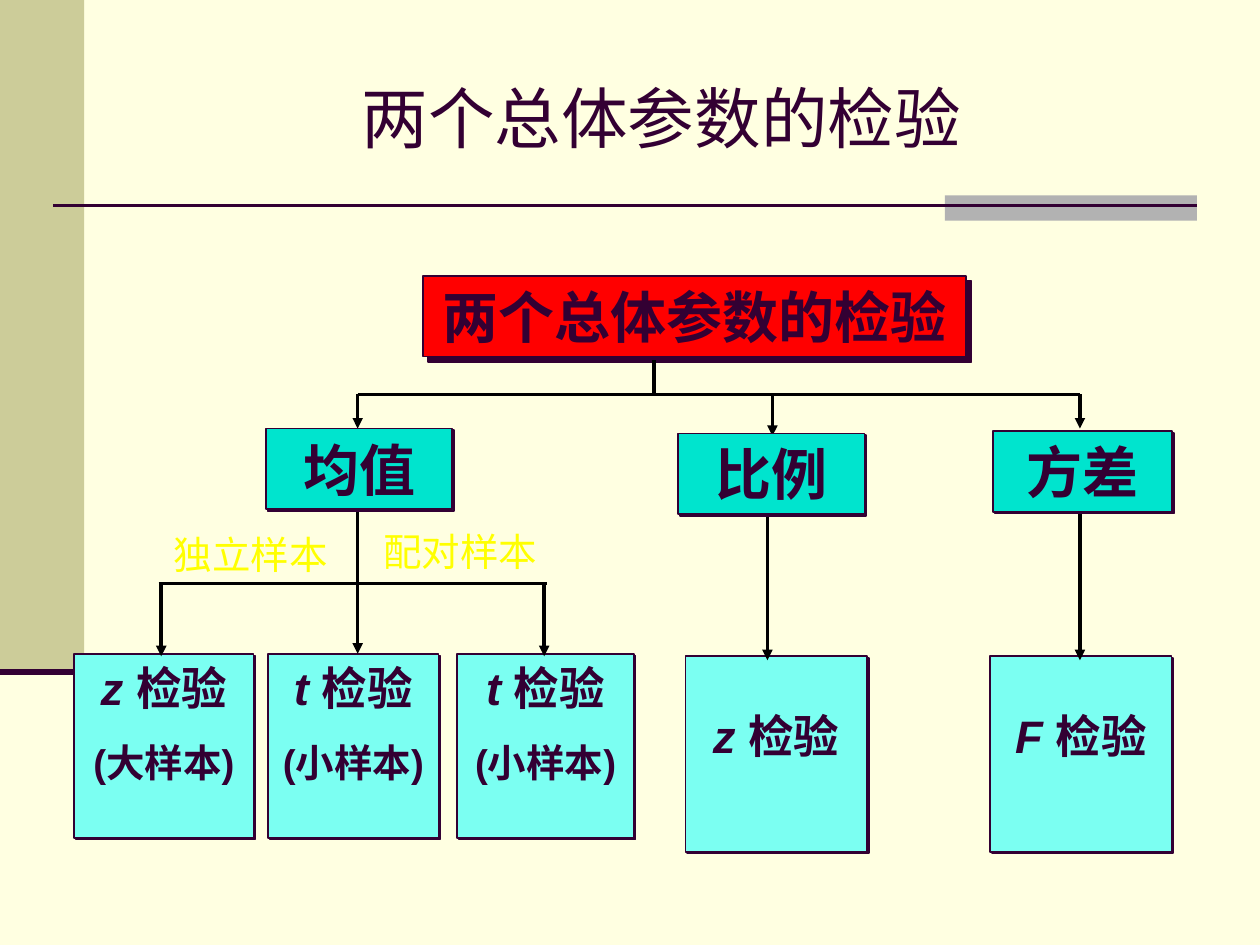
from lxml import etree
from pptx import Presentation
from pptx import util as u
from pptx.dml.color import RGBColor
from pptx.enum import shapes, text
from pptx.oxml.ns import qn

COLORS = {
    "paper": "FFFFE1", "olive": "CCCC99", "gray": "B2B2B2", "ink": "330033",
    "black": "000000", "red": "FF0000", "teal": "00E4CE", "aqua": "7BFFF2",
    "yellow": "FFFF00",
}
LEAF_NAME = {"size": u.Pt(26), "bold": True}
LEAF_NOTE = {"size": u.Pt(22), "bold": True}
HEAD = {"size": u.Pt(32), "bold": True}
LABEL = {"size": u.Pt(22)}


def rgb(name):
    return RGBColor.from_string(COLORS[name])


def add_run(p, words, fmt, color="ink", font="Arial"):
    r = p.add_run()
    r.text = words
    for key, value in {"name": font, **fmt}.items():
        setattr(r.font, key, value)
    r.font.color.rgb = rgb(color)


def set_frame(sp, anchor=text.MSO_ANCHOR.TOP, top=0.13):
    tf = sp.text_frame
    tf.word_wrap = True
    tf.vertical_anchor = anchor
    for side, gap in {"left": 0.25, "right": 0.25, "top": top, "bottom": 0.13}.items():
        setattr(tf, f"margin_{side}", u.Cm(gap))
    tf.paragraphs[0].alignment = text.PP_ALIGN.CENTER
    return tf


def add_rect(s, x, y, w, h, fill):
    sp = s.shapes.add_shape(shapes.MSO_SHAPE.RECTANGLE, *map(u.Cm, (x, y, w, h)))
    sp.shadow.inherit = False
    sp.fill.solid()
    sp.fill.fore_color.rgb = rgb(fill)
    sp.line.fill.background()
    return sp


def add_box(s, x, y, w, h, fill, shadow=1.4):
    """Outlined rectangle with a hard shadow towards the lower right."""
    sp = add_rect(s, x, y, w, h, fill)
    sp.line.color.rgb = rgb("ink")
    sp.line.width = u.Pt(1)
    effects = sp._element.spPr.find(qn("a:effectLst"))
    shade = etree.SubElement(effects, qn("a:outerShdw"), dist=str(u.Pt(shadow)),
                             dir="2700000", algn="ctr", rotWithShape="0")
    etree.SubElement(shade, qn("a:srgbClr"), val=COLORS["ink"])
    return sp


def add_line(s, x1, y1, x2, y2, color="black", width=2, arrow=False):
    line = s.shapes.add_connector(shapes.MSO_CONNECTOR.STRAIGHT,
                                  *map(u.Cm, (x1, y1, x2, y2)))
    line.line.color.rgb = rgb(color)
    line.line.width = u.Pt(width)
    if arrow:
        etree.SubElement(line.line._get_or_add_ln(), qn("a:tailEnd"), type="triangle")
    etree.SubElement(line._element.spPr, qn("a:effectLst"))


def add_backdrop(s, x, y, w):
    """Side band, accent bar and the two rules."""
    add_rect(s, x, y, 1.7, 13.54, "olive")
    add_rect(s, x + w - 6.35, y + 3.94, 5.08, 0.51, "gray")
    add_line(s, x + 1.07, y + 4.14, x + w - 1.27, y + 4.14, "ink", 1.5)
    add_line(s, x, y + 13.54, x + 1.7, y + 13.54, "ink", 3.5)


def add_title(s, x, y, w, h, words):
    sp = s.shapes.add_textbox(*map(u.Cm, (x, y, w, h)))
    tf = set_frame(sp, text.MSO_ANCHOR.MIDDLE)
    add_run(tf.paragraphs[0], words, {"size": u.Pt(38)}, font="Times New Roman")


def add_tree(s, x, y):
    """Test tree: root, three parameters and five tests."""
    # Root
    sp = add_box(s, x + 7.03, y, 10.95, 1.63, "red", 4.2)
    add_run(set_frame(sp).paragraphs[0], "两个总体参数的检验", HEAD)

    # Tests: left, top, width, height, top inset, symbol, sample note
    leaves = [
        (0, 7.62, 3.61, 3.71, 0.13, "z ", "(大样本)"),
        (3.91, 7.62, 3.43, 3.71, 0.13, "t ", "(小样本)"),
        (7.72, 7.62, 3.56, 3.71, 0.13, "t ", "(小样本)"),
        (12.32, 7.67, 3.66, 3.94, 1.05, "z ", None),
        (18.46, 7.67, 3.66, 3.94, 1.05, "F ", None),
    ]
    for dx, dy, w, h, top, symbol, note in leaves:
        tf = set_frame(add_box(s, x + dx, y + dy, w, h, "aqua"), top=top)
        add_run(tf.paragraphs[0], symbol, {**LEAF_NAME, "italic": True})
        add_run(tf.paragraphs[0], "检验", LEAF_NAME)
        if note:
            p = tf.add_paragraph()
            p.alignment = text.PP_ALIGN.CENTER
            p.space_before = u.Pt(13.8)
            add_run(p, note, LEAF_NOTE)

    # Plain connectors: root stem and the two crossbars
    mean, variance = 5.71, 20.27
    for x1, y1, x2, y2 in [(mean, 2.39, variance, 2.39), (11.68, 1.7, 11.68, 2.42),
                           (1.7, 6.2, 9.52, 6.2)]:
        add_line(s, x + x1, y + y1, x + x2, y + y2)

    # Downward arrows: left, start, end
    for dx, y1, y2 in [(mean, 2.39, 3.08), (14.07, 2.42, 3.23), (variance, 2.39, 3.08),
                       (mean, 4.55, 7.62), (1.75, 6.2, 7.67), (9.47, 6.2, 7.67),
                       (13.97, 4.75, 7.75), (variance, 4.7, 7.75)]:
        add_line(s, x + dx, y + y1, x + dx, y + y2, arrow=True)

    # Sample labels
    for dx, dy, words in [(1.6, 5.01, "独立样本"), (5.82, 4.96, "配对样本")]:
        sp = s.shapes.add_textbox(*map(u.Cm, (x + dx, y + dy, 3.91, 1.19)))
        add_run(set_frame(sp).paragraphs[0], words, LABEL, "yellow")

    # Parameters
    for dx, dy, w, words in [(3.86, 3.08, 3.76, "均值"), (12.17, 3.18, 3.76, "比例"),
                             (18.52, 3.13, 3.61, "方差")]:
        sp = add_box(s, x + dx, y + dy, w, 1.63, "teal")
        add_run(set_frame(sp).paragraphs[0], words, HEAD)


def main():
    prs = Presentation()
    prs.slide_width, prs.slide_height = u.Cm(25.4), u.Cm(19.05)
    s = prs.slides.add_slide(prs.slide_layouts[6])
    s.background.fill.solid()
    s.background.fill.fore_color.rgb = rgb("paper")
    add_backdrop(s, 0, 0, 25.4)
    add_title(s, 2.54, 0.76, 21.59, 3.18, "两个总体参数的检验")
    add_tree(s, 1.5, 5.56)
    prs.save("out.pptx")


if __name__ == "__main__":
    main()
